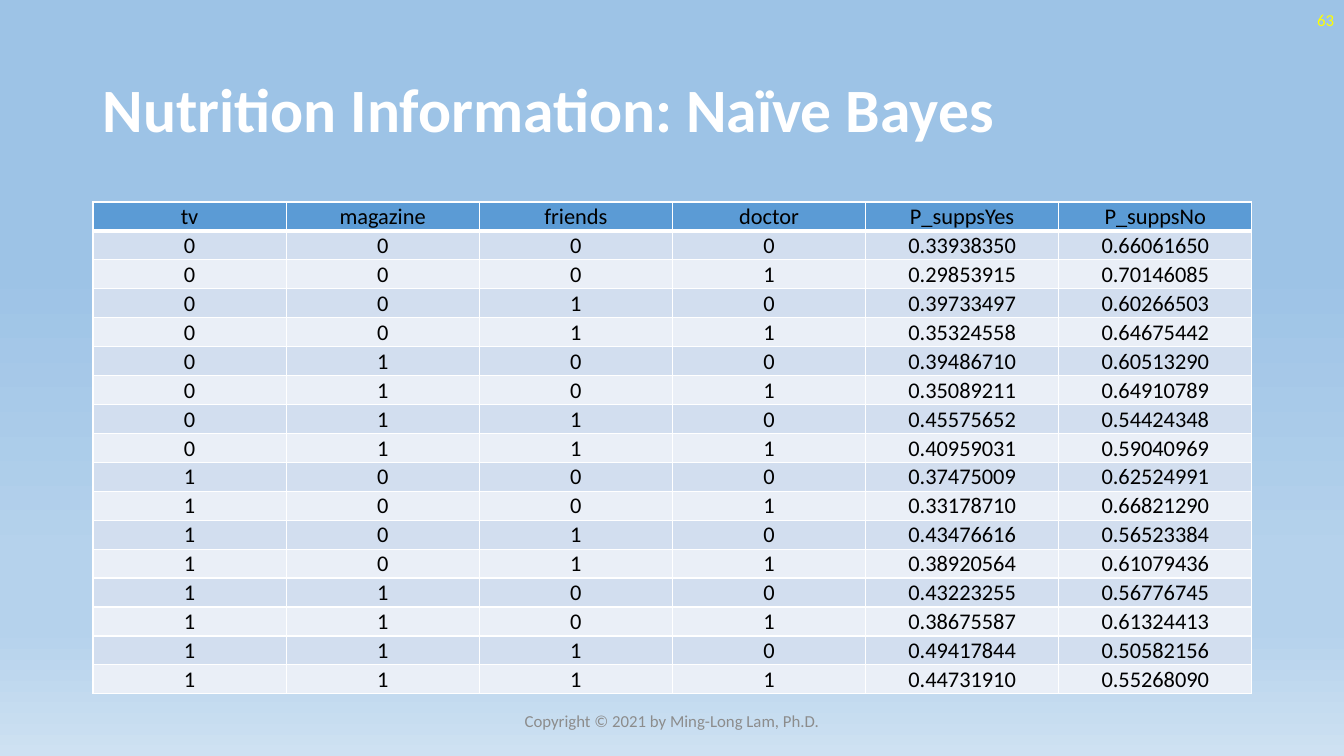
from itertools import product

from lxml import etree
from pptx import Presentation
from pptx.dml.color import RGBColor
from pptx.enum.text import MSO_ANCHOR as Anchor, PP_ALIGN as Align
from pptx.oxml.ns import qn
from pptx.util import Emu, Pt

FONT = "Calibri"
COLORS = {
    "title": "FFFFFF", "number": "FFFF00", "footer": "8C8C8C", "cell text": "000000",
    "header": "5B9BD5", "odd row": "D2DEEF", "even row": "EAEFF7", "border": "FFFFFF",
}
BACKGROUND_STOPS = [(35, "9DC3E6"), (74, "B5D2EC"), (83, "B5D2EC"), (100, "CEE1F2")]


def px(length):
    return Emu(round(length * 914400 / 100.8))


def style(para, size, color, align, bold=False):
    para.alignment = align
    para.font.name = FONT
    para.font.size = Pt(size)
    para.font.bold = bold
    para.font.color.rgb = RGBColor.from_string(COLORS[color])


deck = Presentation()
deck.slide_width, deck.slide_height = px(1344), px(756)
page = deck.slides.add_slide(deck.slide_layouts[6])

# Background gradient, top to bottom
backdrop = page.background.fill
backdrop.gradient()
backdrop.gradient_angle = 270
stop_list = page.element.find(".//" + qn("a:gsLst"))
for stop in list(stop_list):
    stop_list.remove(stop)
for position, color in BACKGROUND_STOPS:
    stop = etree.SubElement(stop_list, qn("a:gs"), pos=str(position * 1000))
    etree.SubElement(stop, qn("a:srgbClr"), val=color)

# Title, slide number and footer
for text, place, size, color, align, bold in [
    ("Nutrition Information: Naïve Bayes", (93, 40, 1159, 146), 44, "title", Align.LEFT, True),
    ("63", (1041, 0, 303, 40), 12, "number", Align.RIGHT, False),
    ("Copyright © 2021 by Ming-Long Lam, Ph.D.", (445, 701, 454, 40), 12, "footer",
     Align.CENTER, False),
]:
    box = page.shapes.add_textbox(*map(px, place))
    frame = box.text_frame
    frame.word_wrap = True
    frame.vertical_anchor = Anchor.MIDDLE
    frame.text = text
    style(frame.paragraphs[0], size, color, align, bold)
    if color == "title":
        frame.paragraphs[0].line_spacing = 0.9

# Table values: every combination of the four predictors
yes_chances = [
    0.33938350, 0.29853915, 0.39733497, 0.35324558,
    0.39486710, 0.35089211, 0.45575652, 0.40959031,
    0.37475009, 0.33178710, 0.43476616, 0.38920564,
    0.43223255, 0.38675587, 0.49417844, 0.44731910,
]
rows = [["tv", "magazine", "friends", "doctor", "P_suppsYes", "P_suppsNo"]]
for predictors, yes in zip(product("01", repeat=4), yes_chances):
    rows.append([*predictors, f"{yes:.8f}", f"{1 - yes:.8f}"])

# Table
table = page.shapes.add_table(
    len(rows), len(rows[0]), px(93), px(202), px(1159), px(492)).table
for column in table.columns:
    column.width = px(1159) // len(rows[0])
for row_index, values in enumerate(rows):
    table.rows[row_index].height = px(492) // len(rows)
    band = "header" if row_index == 0 else "odd row" if row_index % 2 else "even row"
    for column_index, value in enumerate(values):
        cell = table.cell(row_index, column_index)
        cell.text = value
        cell.vertical_anchor = Anchor.MIDDLE
        cell.margin_left = cell.margin_right = cell.margin_top = px(1)
        cell.margin_bottom = 0
        style(cell.text_frame.paragraphs[0], 16, "cell text", Align.CENTER)
        cell.fill.solid()
        cell.fill.fore_color.rgb = RGBColor.from_string(COLORS[band])

        # White borders, thick below the header; they precede the fill in the XML
        properties = cell._tc.get_or_add_tcPr()
        for order, side in enumerate("LRTB"):
            thick = (row_index, side) in [(0, "B"), (1, "T")]
            border = etree.Element(qn(f"a:ln{side}"), w=str(Pt(3 if thick else 1)))
            solid = etree.SubElement(border, qn("a:solidFill"))
            etree.SubElement(solid, qn("a:srgbClr"), val=COLORS["border"])
            properties.insert(order, border)

deck.save("out.pptx")
